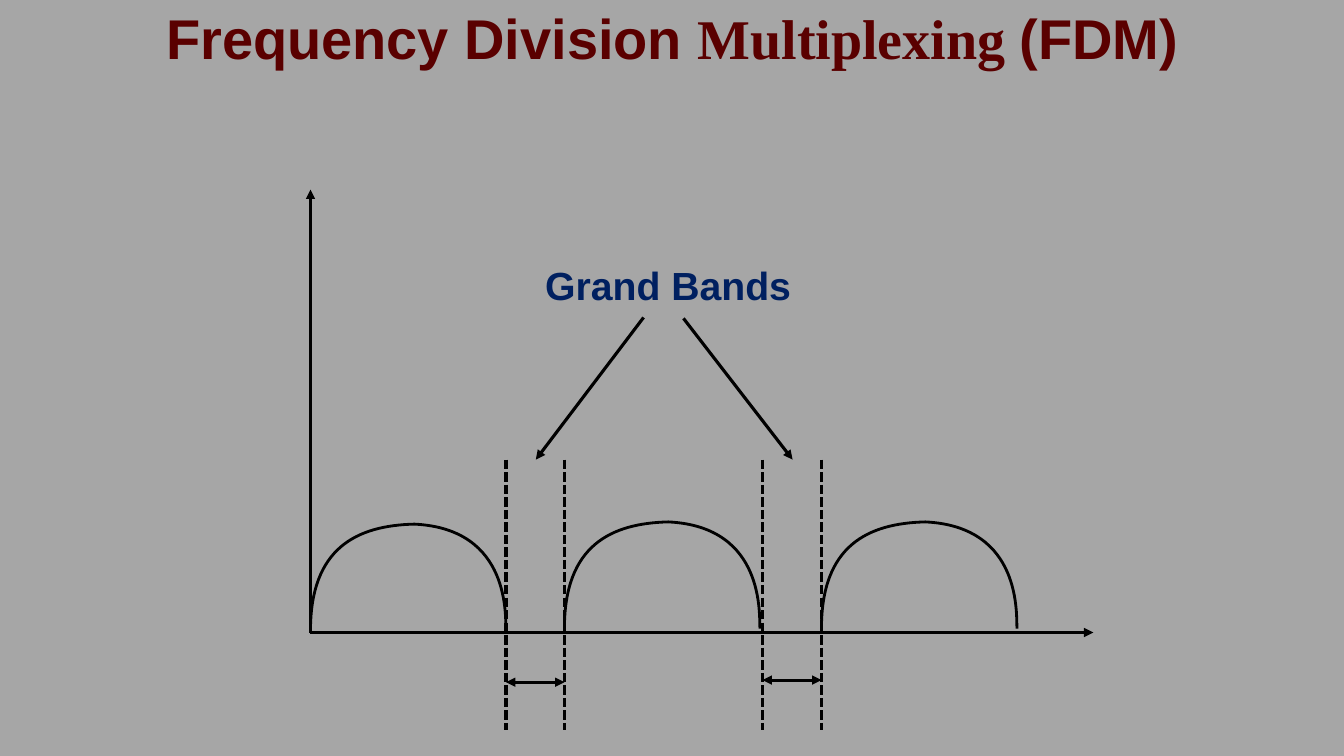
from pptx import Presentation
from pptx.dml.color import RGBColor
from pptx.enum.dml import MSO_LINE
from pptx.enum.shapes import MSO_CONNECTOR
from pptx.enum.text import MSO_ANCHOR, PP_ALIGN
from pptx.oxml.ns import qn
from pptx.util import Pt
from lxml.etree import SubElement

GREY = RGBColor(0xA6, 0xA6, 0xA6)
MAROON = RGBColor(0x5A, 0x00, 0x00)
NAVY = RGBColor(0x00, 0x20, 0x60)
BLACK = RGBColor(0, 0, 0)
SANS = "Arial"
SERIF = "Times New Roman"
FOOT, PEAK, TOE = (0, 77), (74.2, 0), (139.7, 76.3)
CURVES = (((-0.4, 16.5), (33.6, 1), PEAK), ((144, 3.3), (139, 67.5), TOE))


def add_text(owner, box, runs, size, color):
    frame = owner.shapes.add_textbox(*map(Pt, box)).text_frame
    frame.word_wrap = True
    para = frame.paragraphs[0]
    for text, face in runs:
        run = para.add_run()
        run.text = text
        run.font.name = face
        run.font.size = Pt(size)
        run.font.bold = True
        run.font.color.rgb = color
    return frame


def add_line(owner, start, end, ends=(), dash=None):
    line = owner.shapes.add_connector(
        MSO_CONNECTOR.STRAIGHT, *map(Pt, (*start, *end)))
    line.line.color.rgb = BLACK
    line.line.width = Pt(2.25)
    if dash:
        line.line.dash_style = dash
    for tag in ends:
        SubElement(line.line._get_or_add_ln(), qn(tag), type="triangle")
    SubElement(line._element.spPr, qn("a:effectLst"))


def add_hump(owner, left, top):
    form = owner.shapes.build_freeform(
        *(Pt(n) for n in (left + FOOT[0], top + FOOT[1])))
    form.add_line_segments(
        [(Pt(left + x), Pt(top + y)) for x, y in (PEAK, TOE)], close=False)
    hump = form.convert_to_shape()
    trace = next(hump._element.iter(qn("a:path")))
    for side in trace.findall(qn("a:lnTo")):
        trace.remove(side)
    for curve in CURVES:
        arc = SubElement(trace, qn("a:cubicBezTo"))
        for x, y in curve:
            SubElement(arc, qn("a:pt"), x=str(Pt(x)), y=str(Pt(y)))
    hump.shadow.inherit = False
    hump.fill.background()
    hump.line.color.rgb = BLACK
    hump.line.width = Pt(2)


def add_title(slide, box):
    runs = [("Frequency Division ", SANS), ("Multiplexing ", SERIF),
            ("(FDM)", SANS)]
    frame = add_text(slide, box, runs, 40, MAROON)
    frame.margin_left = frame.margin_right = 0
    frame.margin_top = frame.margin_bottom = 0
    frame.vertical_anchor = MSO_ANCHOR.MIDDLE
    frame.paragraphs[0].alignment = PP_ALIGN.CENTER
    frame.paragraphs[0].line_spacing = 0.9


def add_plot(slide, box):
    left, top, width, height = box
    base = top + height
    plot = slide.shapes.add_group_shape()

    for x, y in ((0, -77.4), (181.4, -79), (365, -79)):
        add_hump(plot, left + x, base + y)

    add_line(plot, (left, base), (left + width, base), ["a:tailEnd"])
    add_line(plot, (left, base), (left, top), ["a:tailEnd"])

    bands = ((139.7, 181.4, 35.5, 237.9, -225),
             (322.9, 365, 34, 266.4, -224.4))
    for near, far, drop, tip, lift in bands:
        for edge in (near, far):
            add_line(plot, (left + edge, base - 123.5),
                     (left + edge, base + 69.8), dash=MSO_LINE.SQUARE_DOT)
        add_line(plot, (left + near, base + drop), (left + far, base + drop),
                 ["a:headEnd", "a:tailEnd"])
        add_line(plot, (left + tip, base + lift),
                 (left + (near + far) / 2 + 0.4, base - 123.5), ["a:tailEnd"])

    add_text(plot, (left + 160.6, top + 47.5, 204.5, 41),
             [("Grand Bands", SANS)], 28, NAVY)


def main():
    deck = Presentation()
    deck.slide_width, deck.slide_height = Pt(960), Pt(540)
    slide = deck.slides.add_slide(deck.slide_layouts[6])
    slide.background.fill.solid()
    slide.background.fill.fore_color.rgb = GREY
    add_title(slide, (0, 2.9, 960, 53.3))
    add_plot(slide, (221.8, 135.4, 559.2, 316.4))
    deck.save("out.pptx")


if __name__ == "__main__":
    main()
